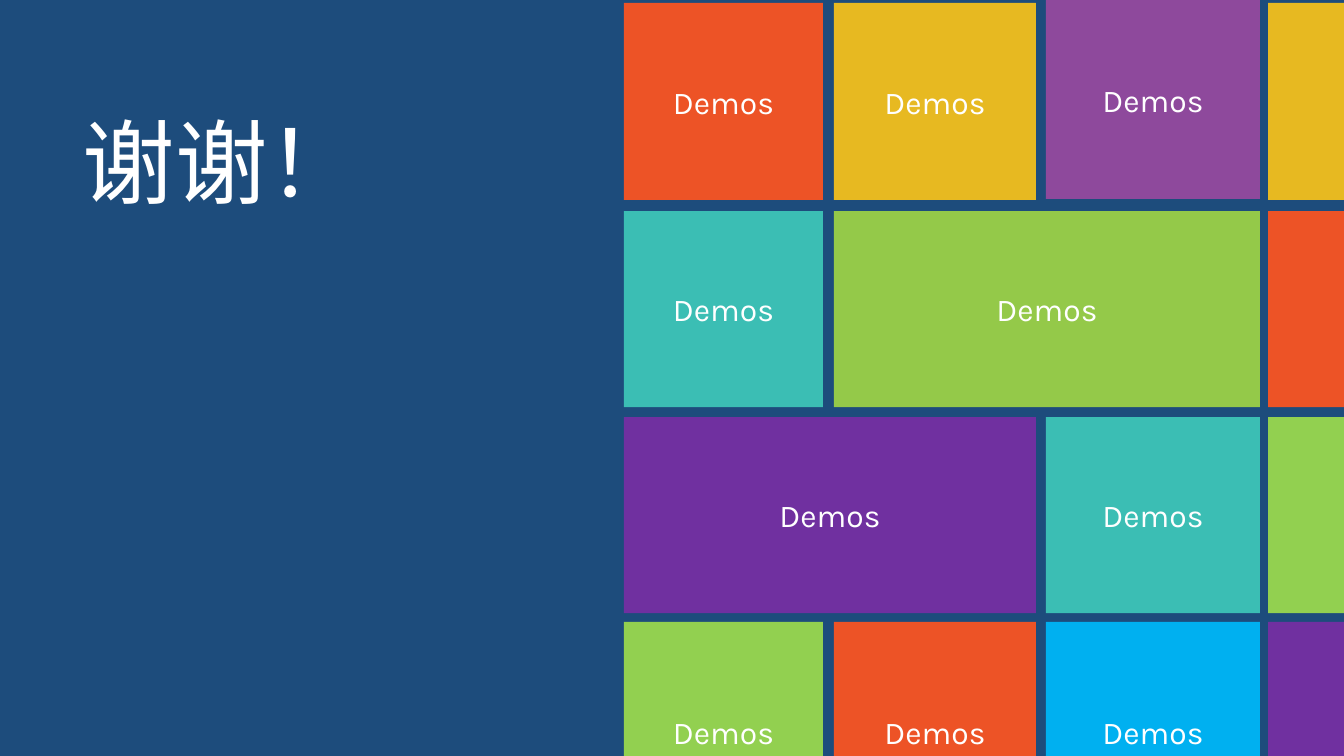
from dataclasses import dataclass

from pptx import Presentation
from pptx.dml.color import RGBColor
from pptx.enum.shapes import MSO_SHAPE
from pptx.enum.text import MSO_ANCHOR, MSO_AUTO_SIZE, PP_ALIGN
from pptx.util import Emu, Pt

ROUND = MSO_SHAPE.ROUNDED_RECTANGLE
TOP, MIDDLE, BOTTOM = MSO_ANCHOR.TOP, MSO_ANCHOR.MIDDLE, MSO_ANCHOR.BOTTOM
LEFT, CENTER = PP_ALIGN.LEFT, PP_ALIGN.CENTER
GROW = MSO_AUTO_SIZE.SHAPE_TO_FIT_TEXT

WIDE, HIGH = 1344, 756
FONT = "Karla"
NAVY, WHITE = "1D4C7C", "FFFFFF"
GOLD, RED, TEAL = "E7B921", "ED5326", "3BBEB4"
LIME, GREEN = "94C949", "92D050"
PLUM, VIOLET, SKY = "8E499C", "7030A0", "00B0F0"

# Start and end of each column and row of the mosaic
COLS = [(624, 823), (834, 1036), (1046, 1260), (1268, WIDE)]
ROWS = [(3, 200), (211, 407), (417, 613), (622, HIGH)]


@dataclass
class Tile:
    row: int
    col: int
    fill: str
    text: str = "Demos"
    span: int = 1
    lift: int = 0


TILES = [
    Tile(0, 0, RED),
    Tile(0, 1, GOLD),
    Tile(0, 2, PLUM, lift=3),
    Tile(0, 3, GOLD, text=""),
    Tile(1, 0, TEAL),
    Tile(1, 1, LIME, span=2),
    Tile(1, 3, RED, text=""),
    Tile(2, 0, VIOLET, span=2),
    Tile(2, 2, TEAL),
    Tile(2, 3, GREEN, text=""),
    Tile(3, 0, GREEN),
    Tile(3, 1, RED),
    Tile(3, 2, SKY),
    Tile(3, 3, VIOLET, text=""),
]


def px(count: int) -> Emu:
    return Emu(round(count * 914400 / 100.8))


def color(code: str) -> RGBColor:
    return RGBColor.from_string(code)


def write(shape, text: str, *, size: float, align, anchor,
          lines: float = 1.0, pads: tuple[int, int] = (10, 5)) -> None:
    """Fill a shape with one paragraph; pads are the side and top insets."""
    frame = shape.text_frame
    frame.word_wrap = True
    frame.vertical_anchor = anchor
    frame.margin_left = frame.margin_right = px(pads[0])
    frame.margin_top = frame.margin_bottom = px(pads[1])
    para = frame.paragraphs[0]
    para.alignment = align
    para.line_spacing = lines
    run = para.add_run()
    run.text = text
    run.font.name = FONT
    run.font.size = Pt(size)
    run.font.color.rgb = color(WHITE)


def draw_tile(slide, tile: Tile) -> None:
    left, right = COLS[tile.col][0], COLS[tile.col + tile.span - 1][1]
    top, base = ROWS[tile.row]
    top, base = top - tile.lift, base - tile.lift // 2
    shape = slide.shapes.add_shape(
        ROUND, px(left), px(top), px(right - left), px(base - top))
    shape.adjustments[0] = 0
    shape.shadow.inherit = False
    shape.fill.solid()
    shape.fill.fore_color.rgb = color(tile.fill)
    shape.line.fill.background()
    if tile.text:
        last = tile.row == len(ROWS) - 1
        write(shape, tile.text, size=22.7, align=CENTER,
              anchor=BOTTOM if last else MIDDLE)


def draw_title(slide, text: str) -> None:
    title = slide.shapes.title
    title.left, title.top = px(73), px(108)
    title.width, title.height = px(658), px(121)
    write(title, text, size=66, align=LEFT, anchor=TOP, lines=0.9,
          pads=(10, 10))
    title.text_frame.auto_size = GROW


def main() -> None:
    deck = Presentation()
    deck.slide_width, deck.slide_height = px(WIDE), px(HIGH)
    slide = deck.slides.add_slide(deck.slide_layouts.get_by_name("Title Only"))
    back = slide.background.fill
    back.solid()
    back.fore_color.rgb = color(NAVY)
    draw_title(slide, "谢谢！")
    for tile in TILES:
        draw_tile(slide, tile)
    deck.save("out.pptx")


if __name__ == "__main__":
    main()
